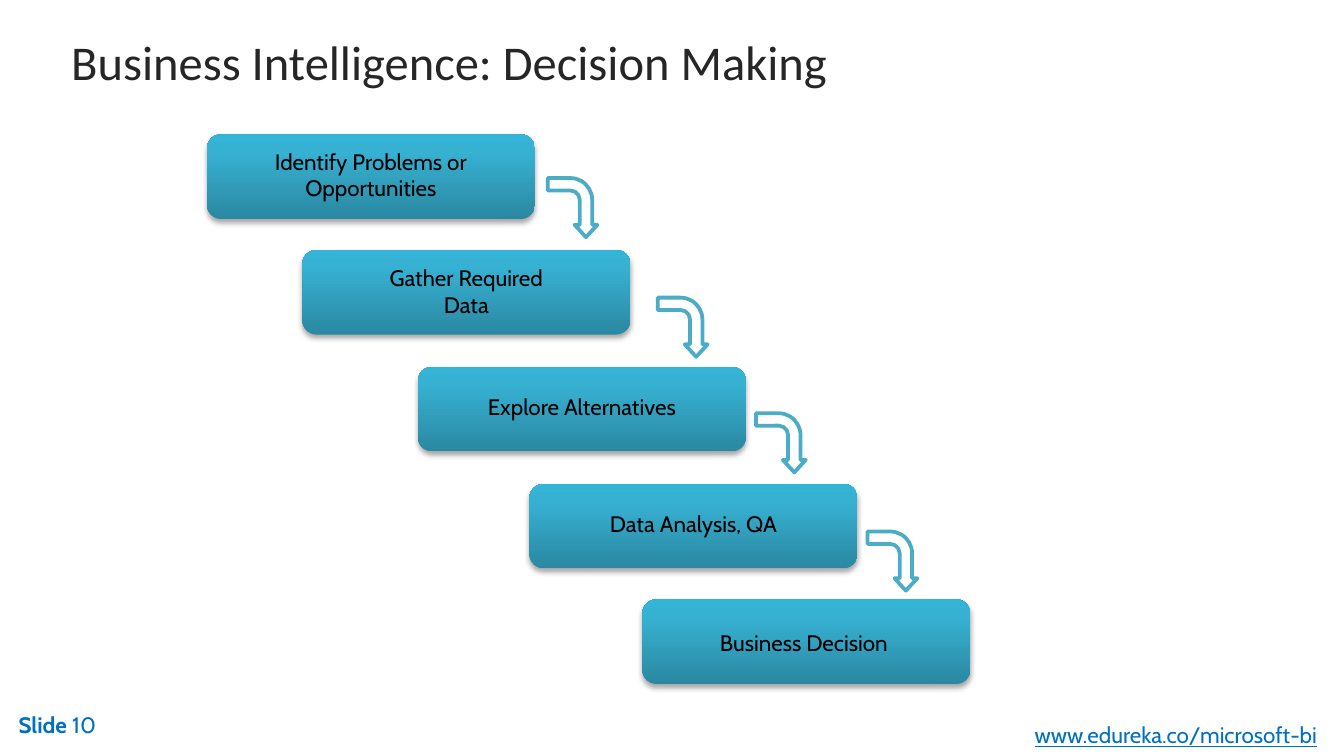
from lxml import etree
from pptx import Presentation
from pptx.dml.color import RGBColor
from pptx.enum.shapes import MSO_SHAPE
from pptx.enum.text import MSO_ANCHOR, PP_ALIGN
from pptx.oxml.ns import qn
from pptx.util import Inches, Pt

ROUND_RECT = MSO_SHAPE.ROUNDED_RECTANGLE
BENT_ARROW = MSO_SHAPE.BENT_ARROW
TOP = MSO_ANCHOR.TOP
LEFT, CENTER = PP_ALIGN.LEFT, PP_ALIGN.CENTER

BLACK = RGBColor(0x00, 0x00, 0x00)
WHITE = RGBColor(0xFF, 0xFF, 0xFF)
TITLE_GREY = RGBColor(0x26, 0x26, 0x26)
FOOTER_BLUE = RGBColor(0x00, 0x70, 0xC0)
ARROW_BLUE = RGBColor(0x4B, 0xAC, 0xC6)
STEP_GRADIENT = [
    (0, RGBColor(0x2A, 0x88, 0xA2)),
    (80, RGBColor(0x37, 0xB1, 0xD2)),
    (100, RGBColor(0x34, 0xB4, 0xD6)),
]

SLIDE_W = 10
SLIDE_H = SLIDE_W * 9 / 16
STEP_W, STEP_H = 2.44, 0.63
LABEL_W = 2.28
ARROW_W, ARROW_H = 0.44, 0.37
# left, top, label top, label height, label lines
STEPS = [
    (1.54, 1.0, 1.05, 0.5, ["Identify Problems or Opportunities"]),
    (2.25, 1.86, 1.92, 0.5, ["Gather Required", "Data"]),
    (3.11, 2.73, 2.88, 0.3, ["Explore Alternatives"]),
    (3.94, 3.6, 3.75, 0.3, ["Data Analysis, QA"]),
    (4.78, 4.46, 4.63, 0.3, ["Business Decision "]),
]
ARROWS = [(4.04, 1.36), (4.86, 2.25), (5.59, 3.11), (6.42, 3.99)]


def write_text(shape, paragraphs, align=LEFT, wrap=True, **font):
    """Fill a shape; each paragraph is a list of (text, extra font values)."""
    tf = shape.text_frame
    tf.word_wrap = wrap
    tf.vertical_anchor = TOP
    for i, runs in enumerate(paragraphs):
        p = tf.paragraphs[0] if i == 0 else tf.add_paragraph()
        p.alignment = align
        for text, extra in runs:
            r = p.add_run()
            r.text = text
            values = {"name": "Cabin", "size": Pt(12), **font, **extra}
            color = values.pop("color")
            for key, value in values.items():
                setattr(r.font, key, value)
            r.font.color.rgb = color


def add_text(s, left, top, width, height, paragraphs, **style):
    box = s.shapes.add_textbox(
        Inches(left), Inches(top), Inches(width), Inches(height))
    write_text(box, paragraphs, **style)


def add_color(parent, color):
    return etree.SubElement(parent, qn("a:srgbClr"), val=str(color))


def set_gradient(shape, stops):
    """Run the stops from the bottom of the shape to its top."""
    shape.fill.gradient()
    shape.fill.gradient_angle = 90
    stop_list = shape._element.spPr.find(".//" + qn("a:gsLst"))
    for old_stop in list(stop_list):
        stop_list.remove(old_stop)
    for percent, color in stops:
        stop = etree.SubElement(stop_list, qn("a:gs"), pos=str(percent * 1000))
        add_color(stop, color)


def set_drop_shadow(shape):
    shape.shadow.inherit = False
    effects = shape._element.spPr.find(qn("a:effectLst"))
    shadow = etree.SubElement(
        effects, qn("a:outerShdw"), blurRad=str(Pt(3.1)), dist=str(Pt(1.8)),
        dir="5400000", rotWithShape="0")
    etree.SubElement(add_color(shadow, BLACK), qn("a:alpha"), val="35000")


def add_step(s, left, top):
    box = s.shapes.add_shape(
        ROUND_RECT, Inches(left), Inches(top), Inches(STEP_W), Inches(STEP_H))
    set_gradient(box, STEP_GRADIENT)
    box.line.fill.background()
    set_drop_shadow(box)


def add_label(s, step_left, top, height, lines):
    """Centre a label across the step that starts at step_left."""
    add_text(s, step_left + (STEP_W - LABEL_W) / 2, top, LABEL_W, height,
             [[(line, {})] for line in lines], align=CENTER, color=BLACK)


def add_arrow(s, left, top):
    arrow = s.shapes.add_shape(
        BENT_ARROW, Inches(left), Inches(top), Inches(ARROW_W), Inches(ARROW_H))
    arrow.rotation = 90
    for i, value in enumerate([0.25, 0.23, 0.25, 0.44]):
        arrow.adjustments[i] = value
    arrow.fill.solid()
    arrow.fill.fore_color.rgb = WHITE
    arrow.line.color.rgb = ARROW_BLUE
    arrow.line.width = Pt(2)
    arrow.shadow.inherit = False


def add_title(s, text):
    title = s.shapes.title
    title.left, title.top = Inches(0.43), Inches(0.19)
    title.width, title.height = Inches(5.88), Inches(0.54)
    write_text(title, [[(text, {})]], wrap=False,
               name="Calibri", size=Pt(26), color=TITLE_GREY)


def main():
    prs = Presentation()
    prs.slide_width, prs.slide_height = Inches(SLIDE_W), Inches(SLIDE_H)
    s = prs.slides.add_slide(prs.slide_layouts[5])

    add_text(s, 7.6, 5.32, 2.38, 0.3, [[("www.edureka.co/microsoft-bi", {})]],
             wrap=False, color=FOOTER_BLUE, underline=True)
    add_text(s, 0.04, 5.24, 1.58, 0.3,
             [[("Slide ", {"bold": True}), ("10", {"bold": False})]],
             color=FOOTER_BLUE)
    add_title(s, "Business Intelligence: Decision Making")
    for left, top, *_ in STEPS:
        add_step(s, left, top)
    for left, _, label_top, label_height, lines in STEPS:
        add_label(s, left, label_top, label_height, lines)
    for left, top in ARROWS:
        add_arrow(s, left, top)

    prs.save("out.pptx")


if __name__ == "__main__":
    main()
